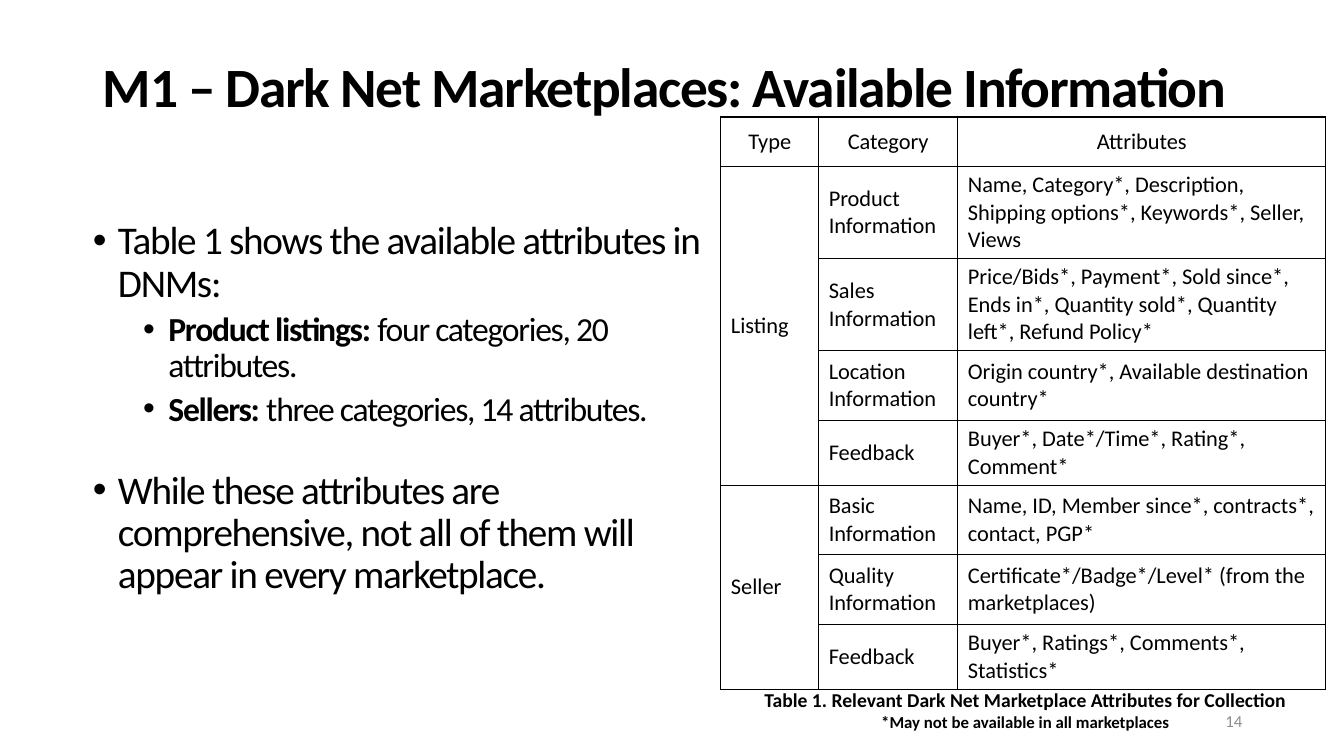
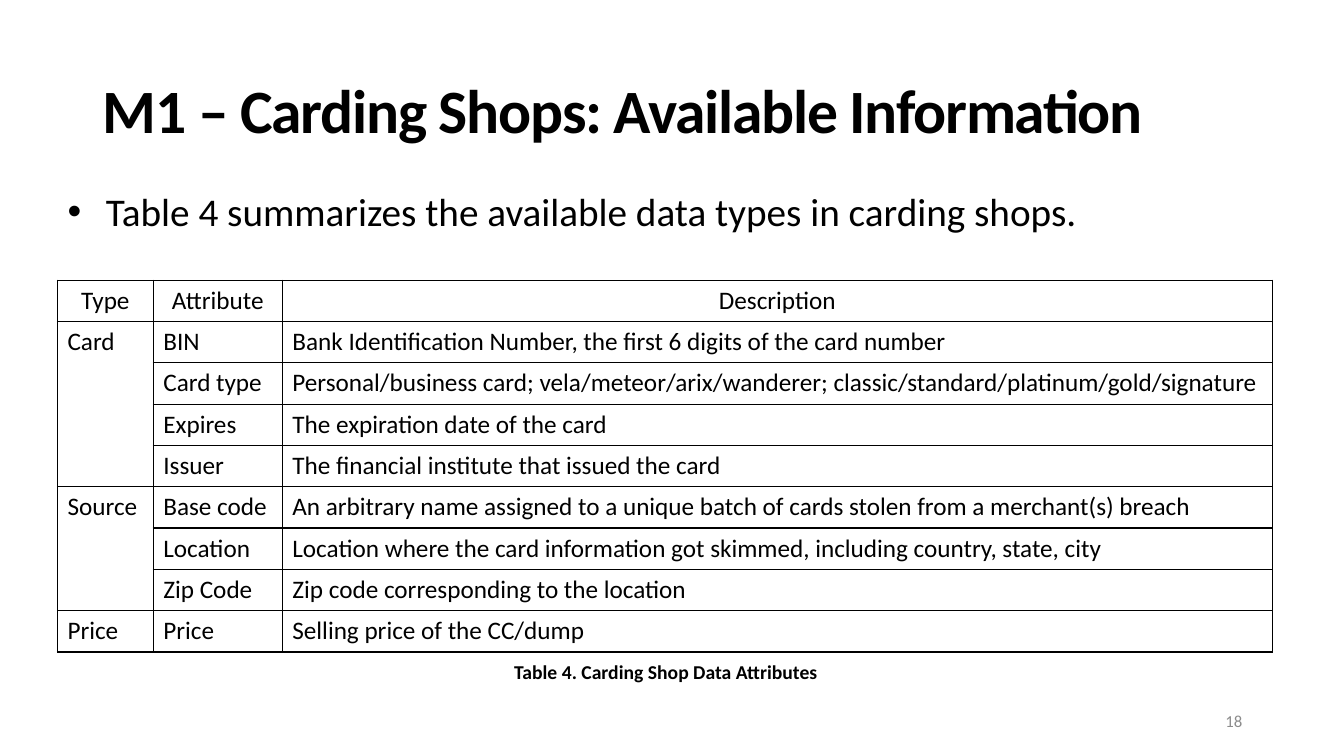
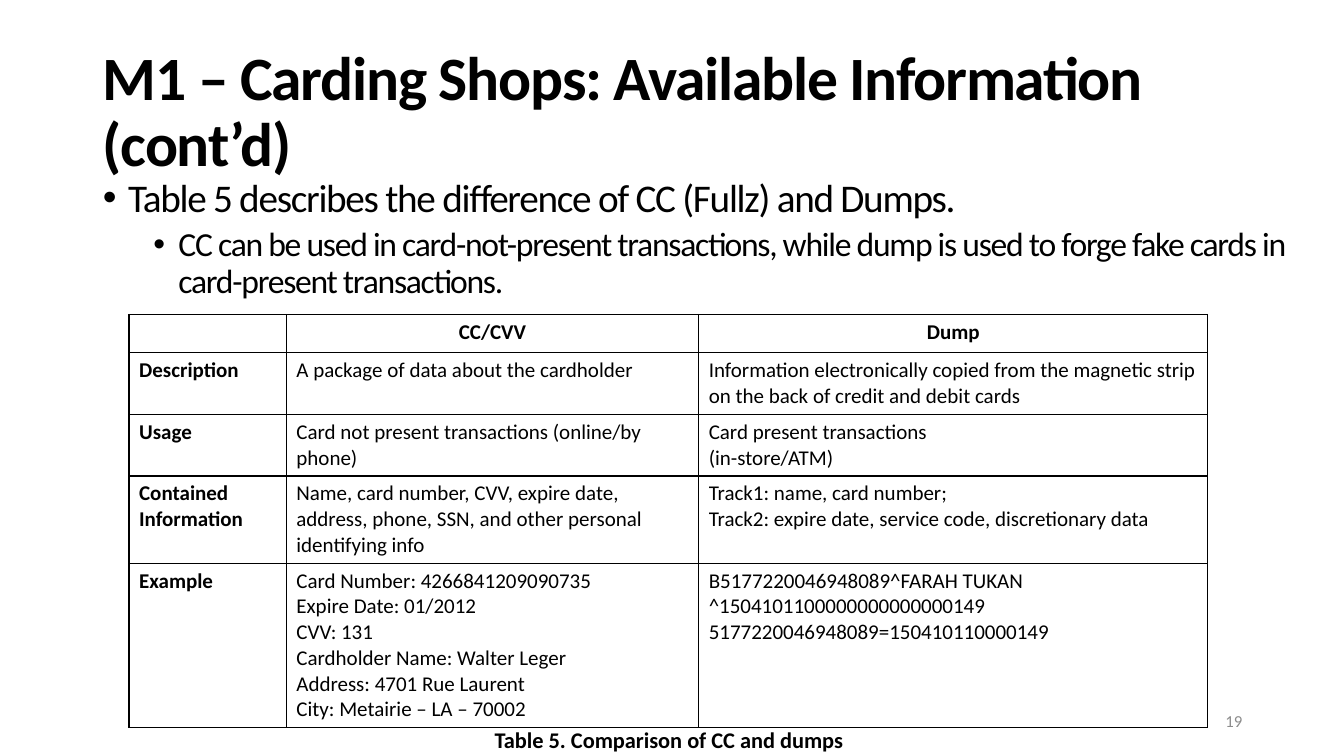
import pptx
import pptx.util
import pptx.enum.text
import pptx.dml.color
import pptx.oxml
import pptx.oxml.ns

Inches, Pt = pptx.util.Inches, pptx.util.Pt
ALIGN = pptx.enum.text.PP_ALIGN
ANCHOR = pptx.enum.text.MSO_ANCHOR
FIT = pptx.enum.text.MSO_AUTO_SIZE
BLACK, GREY = "000000", "8C8C8C"

# Theme: font, para, hang (left, hanging inches), spc (letter gap)
THEME = {
    "title": {"font": {"size": 44, "bold": True}, "para": {"line_spacing": 0.9}, "spc": -90},
    "main": {"font": {"size": 28}, "para": {"line_spacing": 0.9, "space_before": Pt(10)},
             "hang": (0.25, 0.25), "spc": -90},
    "next": {"font": {"size": 28}, "para": {"line_spacing": 0.9, "space_before": Pt(30)},
             "hang": (0.25, 0.25), "spc": -90},
    "sub": {"font": {"size": 24}, "para": {"line_spacing": 0.9, "space_before": Pt(5), "level": 1},
            "hang": (0.75, 0.25), "spc": -90},
    "plain": {"font": {"size": 28}, "para": {"line_spacing": 1.0}, "hang": (0.38, 0.38)},
    "head": {"font": {}, "para": {"alignment": ALIGN.CENTER}},
    "cell": {"font": {}, "para": {"alignment": ALIGN.LEFT}},
    "label": {"font": {"size": 14, "bold": True}, "para": {"alignment": ALIGN.CENTER}},
    "note": {"font": {"size": 12, "bold": True}, "para": {"alignment": ALIGN.CENTER}},
    "page": {"font": {"size": 12}, "para": {"alignment": ALIGN.RIGHT}, "color": GREY},
}

SLIDES = [
    {
        "title": "M1 – Dark Net Marketplaces: Available Information",
        "spot": (0.92, 0.4, 11.5, 0.97), "size": 39.6, "page": "14",
        "body": (0.82, 2.14, 6.25, 3.88),
        "list": [
            ("main", "Table 1 shows the available attributes in DNMs:"),
            ("sub", "Product listings:| four categories, 20 attributes."),
            ("sub", "Sellers:| three categories, 14 attributes."),
            ("next", "While these attributes are comprehensive, not all of them will "
                     "appear in every marketplace."),
        ],
        "label": (7.46, 6.78, 5.42, 0.54), "fonts": {},
        "lines": [("label", "Table 1. Relevant Dark Net Marketplace Attributes for Collection"),
                  ("note", "*May not be available in all marketplaces")],
        "grid": (7.15, 1.16), "text": 16, "anchor": ANCHOR.MIDDLE, "strong": False,
        "cols": [0.97, 1.38, 3.65],
        "rows": [0.49, 0.9, 0.9, 0.69, 0.64, 0.69, 0.69, 0.64],
        "cells": [
            ("Type", "Category", "Attributes"),
            ("Listing", "Product Information",
             "Name, Category*, Description, Shipping options*, Keywords*, Seller, Views"),
            (None, "Sales Information",
             "Price/Bids*, Payment*, Sold since*, Ends in*, Quantity sold*, "
             "Quantity left*, Refund Policy*"),
            (None, "Location Information", "Origin country*, Available destination country*"),
            (None, "Feedback", "Buyer*, Date*/Time*, Rating*, Comment*"),
            ("Seller", "Basic Information", "Name, ID, Member since*, contracts*, contact, PGP*"),
            (None, "Quality Information", "Certificate*/Badge*/Level* (from the marketplaces)"),
            (None, "Feedback", "Buyer*, Ratings*, Comments*, Statistics*"),
        ],
    },
    {
        "title": "M1 – Carding Shops: Available Information",
        "spot": (0.92, 0.4, 11.5, 1.45), "size": 44, "page": "18",
        "body": (0.57, 1.81, 10.5, 0.57),
        "list": [("plain", "Table 4 summarizes the available data types in carding shops.")],
        "label": (4.99, 6.5, 3.23, 0.34), "fonts": {},
        "lines": [("label", "Table 4. Carding Shop Data Attributes")],
        "grid": (0.57, 2.78), "text": 18, "anchor": ANCHOR.TOP, "strong": False,
        "cols": [0.95, 1.28, 9.82],
        "rows": [0.41] * 9,
        "cells": [
            ("Type", "Attribute", "Description"),
            ("Card", "BIN", "Bank Identification Number, the first 6 digits of the card number"),
            (None, "Card type", "Personal/business card; vela/meteor/arix/wanderer; "
                                "classic/standard/platinum/gold/signature"),
            (None, "Expires", "The expiration date of the card"),
            (None, "Issuer", "The financial institute that issued the card"),
            ("Source", "Base code", "An arbitrary name assigned to a unique batch of cards "
                                    "stolen from a merchant(s) breach"),
            (None, "Location", "Location where the card information got skimmed, "
                               "including country, state, city"),
            (None, "Zip Code", "Zip code corresponding to the location"),
            ("Price", "Price", "Selling price of the CC/dump"),
        ],
    },
    {
        "title": "M1 – Carding Shops: Available Information (cont’d)",
        "spot": (0.92, 0.4, 11.8, 1.45), "size": 44, "page": "19",
        "body": (0.92, 1.72, 11.94, 5.36),
        "list": [
            ("main", "Table 5 describes the difference of CC (Fullz) and Dumps."),
            ("sub", "CC can be used in card-not-present transactions, while dump is used to "
                    "forge fake cards in card-present transactions."),
        ],
        "label": (4.78, 7.15, 3.71, 0.37), "fonts": {"size": 16},
        "lines": [("label", "Table 5. Comparison of CC and dumps")],
        "grid": (1.28, 3.12), "text": 15, "anchor": ANCHOR.TOP, "strong": True,
        "cols": [1.56, 4.09, 5.05],
        "rows": [0.38, 0.6, 0.6, 0.85, 1.6],
        "cells": [
            ("", "CC/CVV", "Dump"),
            ("Description", "A package of data about the cardholder",
             "Information electronically copied from the magnetic strip on the back of "
             "credit and debit cards"),
            ("Usage", "Card not present transactions (online/by phone)",
             "Card present transactions\n(in-store/ATM)"),
            ("Contained Information",
             "Name, card number, CVV, expire date, address, phone, SSN, and other personal "
             "identifying info",
             "Track1: name, card number;\nTrack2: expire date, service code, discretionary data"),
            ("Example",
             "Card Number: 4266841209090735\nExpire Date: 01/2012\nCVV: 131\n"
             "Cardholder Name: Walter Leger\nAddress: 4701 Rue Laurent\n"
             "City: Metairie – LA – 70002",
             "B5177220046948089^FARAH TUKAN\n^1504101100000000000000149\n"
             "5177220046948089=150410110000149"),
        ],
    },
]


def write(frame, lines, **extra):
    """Fill a frame with (kind, text) lines; a part before | is bold."""
    for i, (kind, text) in enumerate(lines):
        look = THEME[kind]
        para = frame.add_paragraph() if i else frame.paragraphs[0]
        if "hang" in look:
            left, back = look["hang"]
            props = para._p.get_or_add_pPr()
            props.set("marL", str(Inches(left)))
            props.set("indent", str(-Inches(back)))
            mark = pptx.oxml.ns.qn("a:buChar")
            props.append(props.makeelement(mark, {"char": "•"}))
        for name, value in look["para"].items():
            setattr(para, name, value)
        if i == 0:
            para.space_before = Pt(0)
        parts = text.split("|")
        for j, part in enumerate(parts):
            run = para.add_run()
            run.text = part
            bold = len(parts) > 1 and j == 0
            font = {"name": "Calibri", "bold": bold, **look["font"], **extra}
            font["size"] = Pt(font["size"])
            for name, value in font.items():
                setattr(run.font, name, value)
            run.font.color.rgb = pptx.dml.color.RGBColor.from_string(look.get("color", BLACK))
            if "spc" in look:
                run._r.get_or_add_rPr().set("spc", str(look["spc"]))


def place(shape, spot, **form):
    """Move a shape and set its frame; give back the frame."""
    for name, value in zip(("left", "top", "width", "height"), spot):
        setattr(shape, name, Inches(value))
    for name, value in {"word_wrap": True, "auto_size": FIT.NONE, **form}.items():
        setattr(shape.text_frame, name, value)
    return shape.text_frame


deck = pptx.Presentation()
deck.slide_width, deck.slide_height = Inches(13.33), Inches(7.5)
THEME["title"]["para"]["alignment"] = ALIGN.LEFT

for data in SLIDES:
    slide = deck.slides.add_slide(deck.slide_layouts[1])
    shapes = slide.shapes

    # Title and list
    frame = place(shapes.title, data["spot"], vertical_anchor=ANCHOR.MIDDLE)
    write(frame, [("title", data["title"])], size=data["size"])
    write(place(slide.placeholders[1], data["body"], vertical_anchor=ANCHOR.TOP), data["list"])

    # Page number and table label
    spot = (9.42, 6.95, 3, 0.4)
    frame = place(shapes.add_textbox(0, 0, 0, 0), spot, vertical_anchor=ANCHOR.MIDDLE)
    write(frame, [("page", data["page"])])
    frame = place(shapes.add_textbox(0, 0, 0, 0), data["label"], word_wrap=False)
    write(frame, data["lines"], **data["fonts"])

    # Table
    cols, rows, cells = data["cols"], data["rows"], data["cells"]
    area = (*data["grid"], sum(cols), sum(rows))
    table = shapes.add_table(len(rows), len(cols), *map(Inches, area)).table
    table.first_row = table.horz_banding = False
    for col, width in zip(table.columns, cols):
        col.width = Inches(width)
    for row, height in zip(table.rows, rows):
        row.height = Inches(height)
    for r, texts in enumerate(cells):
        for c, text in enumerate(texts):
            cell = table.cell(r, c)
            cell.vertical_anchor = data["anchor"]
            edges = cell._tc.get_or_add_tcPr()
            for side in "LRTB":
                edges.append(pptx.oxml.parse_xml(
                    f'<a:ln{side} {pptx.oxml.ns.nsdecls("a")} w="12700"><a:solidFill>'
                    f'<a:srgbClr val="{BLACK}"/></a:solidFill></a:ln{side}>'))
            cell.fill.background()
            if text is not None:
                kind = "cell" if r else "head"
                bold = data["strong"] and (r == 0 or c == 0)
                lines = [(kind, line) for line in text.split("\n")]
                write(cell.text_frame, lines, size=data["text"], bold=bold)

    # Join each type cell with the open cells below it
    starts = [r for r, texts in enumerate(cells) if texts[0] is not None]
    for top, end in zip(starts, starts[1:] + [len(cells)]):
        if end - top > 1:
            table.cell(top, 0).merge(table.cell(end - 1, 0))

deck.save("out.pptx")
